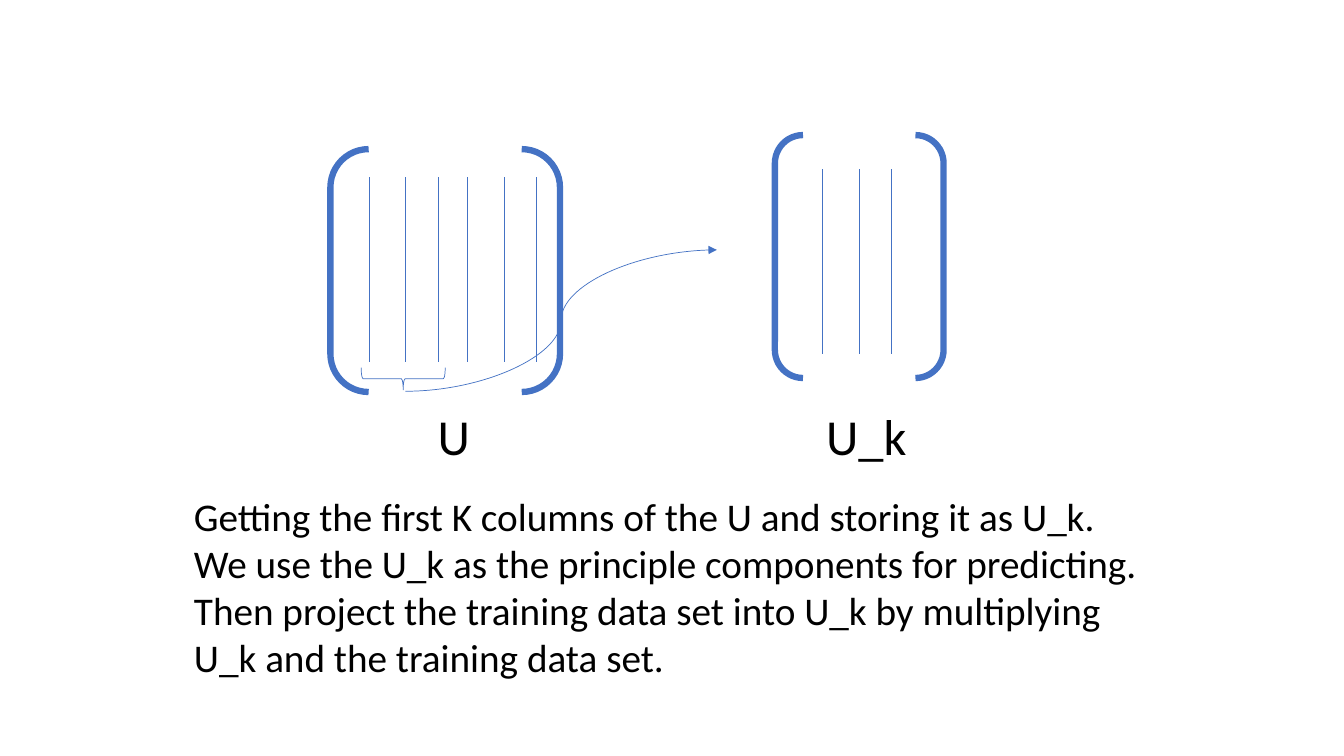
import pptx
import pptx.util
import pptx.dml.color
import pptx.enum.shapes
import pptx.enum.text
import pptx.oxml
import pptx.oxml.ns
import lxml.etree

Pt = pptx.util.Pt
KIND = pptx.enum.shapes.MSO_SHAPE
LINK = pptx.enum.shapes.MSO_CONNECTOR
BLUE = pptx.dml.color.RGBColor(0x44, 0x72, 0xC4)
BLACK = pptx.dml.color.RGBColor(0, 0, 0)
FONT = "Calibri"

MATS = [
    {"box": (236, 106.5, 164, 173.5), "cols": (263.5, 289.5, 313, 333.5, 360, 383),
     "top": 126.5, "name": "U", "label": (305.5, 286, 38, 51)},
    {"box": (553.5, 96.5, 120.5, 173.5), "cols": (587.5, 614, 637),
     "top": 121, "name": "U_k", "label": (583, 286, 73, 51)},
]
TALL = 132
BRACE = (280, 240.5, 16, 60)
ARROW = (289.5, 279.5, 512, 178.5)
NOTES = [
    "Getting the first K columns of the U and storing it as U_k.",
    "We use the U_k as the principle components for predicting.",
    "Then project the training data set into U_k by multiplying",
    "U_k and the training data set.",
]
AREA = (131.5, 348, 695.5, 143.5)

deck = pptx.Presentation()
deck.slide_width, deck.slide_height = Pt(960), Pt(540)
slide = deck.slides.add_slide(deck.slide_layouts[6])


def text(lines, box, size=28, color=BLACK, font=FONT):
    frame = slide.shapes.add_textbox(*map(Pt, box)).text_frame
    frame.word_wrap = False
    frame.auto_size = pptx.enum.text.MSO_AUTO_SIZE.SHAPE_TO_FIT_TEXT
    for i, line in enumerate(lines):
        para = frame.paragraphs[0] if i == 0 else frame.add_paragraph()
        run = para.add_run()
        run.text = line
        run.font.size = Pt(size)
        run.font.name = font
        run.font.color.rgb = color


def stroke(item, width):
    item.line.color.rgb = BLUE
    item.line.width = Pt(width)


def shape(kind, box, width, turn=0):
    item = slide.shapes.add_shape(kind, *map(Pt, box))
    item.shadow.inherit = False
    item.fill.background()
    item.rotation = turn
    stroke(item, width)


def link(kind, ends):
    item = slide.shapes.add_connector(kind, *map(Pt, ends))
    stroke(item, 0.5)
    props = item._element.spPr
    lxml.etree.SubElement(props, pptx.oxml.ns.qn("a:effectLst"))
    return item


for mat in MATS:
    shape(KIND.DOUBLE_BRACKET, mat["box"], 4.5)
    for x in mat["cols"]:
        link(LINK.STRAIGHT, (x, mat["top"], x, mat["top"] + TALL))
    text([mat["name"]], mat["label"], size=36)

shape(KIND.LEFT_BRACE, BRACE, 0.5, turn=270)
arrow = link(LINK.CURVE, ARROW)
tip = lxml.etree.SubElement(arrow.line._get_or_add_ln(), pptx.oxml.ns.qn("a:tailEnd"))
tip.set("type", "triangle")
text(NOTES, AREA)

deck.save("out.pptx")
